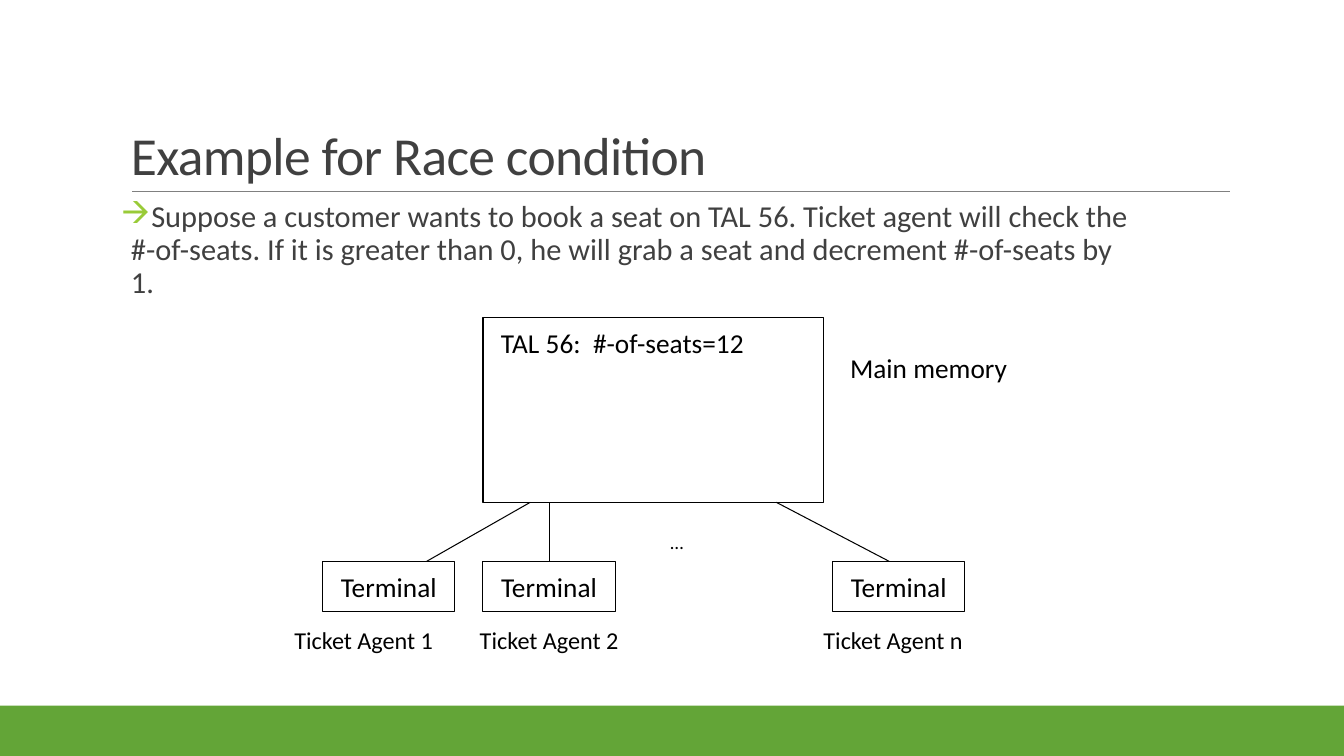
import pptx
import pptx.dml.color
import pptx.enum.shapes
import pptx.enum.text
import pptx.oxml
import pptx.oxml.ns
import pptx.util

Pt = pptx.util.Pt
ALIGN = pptx.enum.text.PP_ALIGN
ANCHOR = pptx.enum.text.MSO_ANCHOR
FONT = "Calibri"
BLACK, DARK, GREY = "000000", "404040", "808080"
GREEN, LIME = "63A537", "99CB38"


def rgb(color):
    return pptx.dml.color.RGBColor.from_string(color)


def xml_element(tag, attributes="", content=""):
    """Build one element of the drawing namespace."""
    namespace = pptx.oxml.ns.nsdecls("a")
    return pptx.oxml.parse_xml(f"<a:{tag} {namespace} {attributes}>{content}</a:{tag}>")


def write(shape, text, size, color=BLACK, align=ALIGN.LEFT, anchor=ANCHOR.TOP, wrap=False):
    frame = shape.text_frame
    frame.text = text
    frame.word_wrap = wrap
    frame.vertical_anchor = anchor
    para = frame.paragraphs[0]
    para.alignment = align
    font = para.runs[0].font
    font.name, font.size, font.color.rgb = FONT, Pt(size), rgb(color)
    return para


def add_text(page, box, text, size, **style):
    shape = page.shapes.add_textbox(*map(Pt, box))
    return shape, write(shape, text, size, **style)


def add_box(page, box, fill=None, line=None):
    shape = page.shapes.add_shape(pptx.enum.shapes.MSO_SHAPE.RECTANGLE, *map(Pt, box))
    shape.shadow.inherit = False
    if fill:
        shape.fill.solid()
        shape.fill.fore_color.rgb = rgb(fill)
    else:
        shape.fill.background()
    if line:
        shape.line.color.rgb = rgb(line)
        shape.line.width = Pt(0.75)
    else:
        shape.line.fill.background()
    return shape


def add_line(page, start, end, color=BLACK, width=0.75):
    line = page.shapes.add_connector(
        pptx.enum.shapes.MSO_CONNECTOR.STRAIGHT, *map(Pt, (*start, *end)))
    line.line.color.rgb = rgb(color)
    line.line.width = Pt(width)
    line._element.spPr.append(xml_element("effectLst"))


def add_heading(page, box, text):
    left, top, width, height = box
    para = add_text(page, box, text, 38.25, color=DARK, anchor=ANCHOR.BOTTOM, wrap=True)[1]
    para.line_spacing = 0.85
    para.runs[0]._r.get_or_add_rPr().set("spc", "-48")
    rule_y = top + height
    add_line(page, (left + 8, rule_y), (left + width + 0.4, rule_y), GREY, 0.5)


def add_body(page, box, text):
    shape, para = add_text(page, box, text, 21.75, color=DARK, wrap=True)
    shape.text_frame.margin_left = shape.text_frame.margin_right = 0
    para.line_spacing = 0.9
    para.space_before, para.space_after = Pt(12), Pt(2)
    properties = para._p.get_or_add_pPr()
    properties.set("marL", str(Pt(7.2)))
    properties.set("indent", str(Pt(-7.2)))
    properties.append(xml_element("buClr", content=f'<a:srgbClr val="{LIME}"/>'))
    # Wingdings draws this letter as a right arrow
    properties.append(xml_element("buFont", 'typeface="Wingdings" charset="2"'))
    properties.append(xml_element("buChar", 'char="à"'))


def add_terminal(page, box, agent, label_shift, memory_end, terminal_end):
    """A terminal, the agent below it and its line up to main memory."""
    left, top, width, height = box
    terminal = add_box(page, box, line=BLACK)
    write(terminal, "Terminal", 19.5, align=ALIGN.CENTER, anchor=ANCHOR.MIDDLE)
    add_text(page, (left + label_shift, top + height + 6, 114.5, 28), agent, 17.25)
    add_line(page, memory_end, (terminal_end, top))


def add_memory_diagram(page, box):
    left, top, width, height = box
    bottom = top + height
    add_box(page, box, line=BLACK)
    add_text(page, (left + 5.8, top + 2.9, 194.4, 31), "TAL 56:  #-of-seats=12", 19.5)
    add_text(page, (left + width + 11.7, top + 20.9, 127.4, 31), "Main memory", 19.5)
    add_text(page, (left + 126.8, bottom + 17, 53.3, 23.8), "…", 13.5, wrap=True)
    # agent, terminal x, label shift, line x at memory, line x at terminal
    terminals = [
        ("Ticket Agent 1", -114.5, -27.4, 33.8, -40.3),
        ("Ticket Agent 2", 0, -9.4, 47.3, 47.3),
        ("Ticket Agent n", 249.8, -13.7, 209.5, 290.2),
    ]
    for agent, offset, shift, memory_x, terminal_x in terminals:
        add_terminal(page, (left + offset, bottom + 42.2, 94.5, 36), agent, shift,
                     (left + memory_x, bottom), left + terminal_x)


def main():
    deck = pptx.Presentation()
    deck.slide_width, deck.slide_height = Pt(960), Pt(540)
    page = deck.slides.add_slide(deck.slide_layouts[6])
    add_box(page, (0, 504, 960, 36), fill=GREEN)
    add_heading(page, (86.4, 22.3, 792, 114.5), "Example for Race condition")
    add_body(page, (86.4, 140.4, 724.3, 117.4),
             "Suppose a customer wants to book a seat on TAL 56. Ticket agent will check "
             "the #-of-seats. If it is greater than 0, he will grab a seat and decrement "
             "#-of-seats by 1.")
    add_memory_diagram(page, (345, 226.8, 243.4, 132))
    deck.save("out.pptx")


if __name__ == "__main__":
    main()
